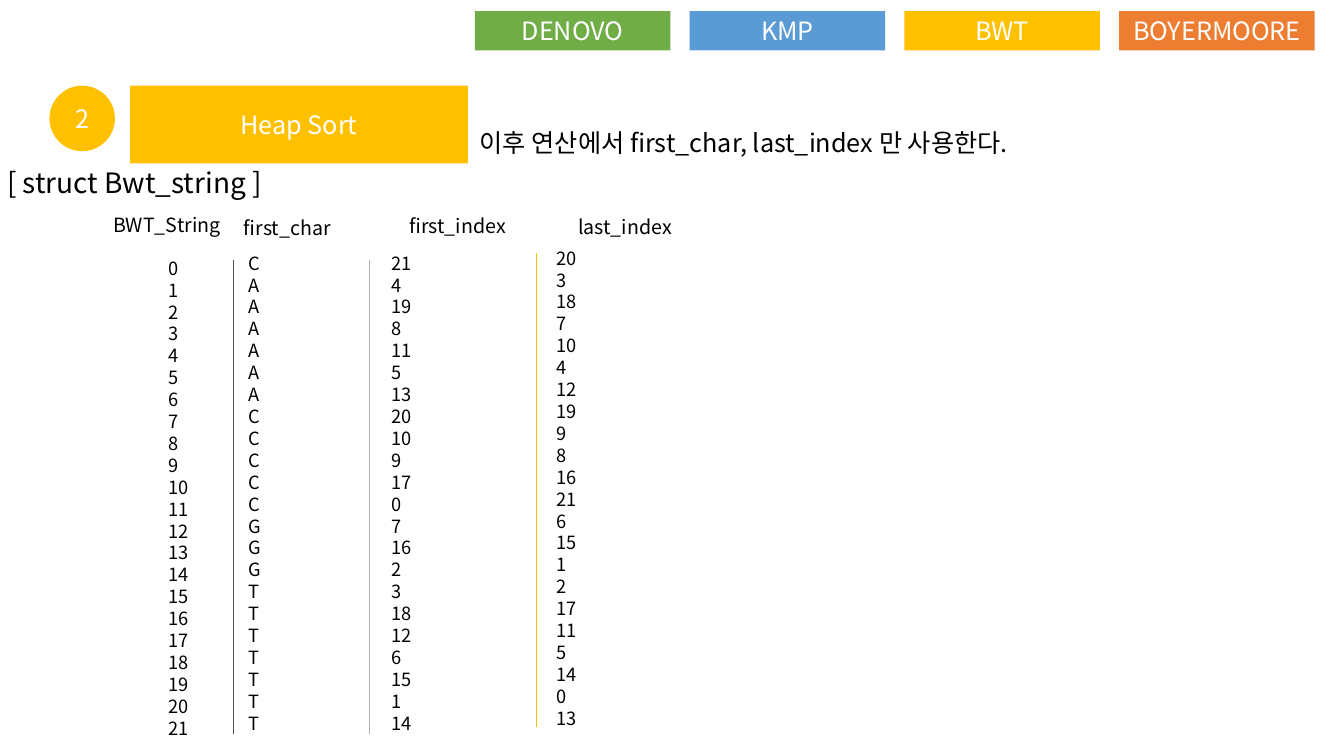
from lxml import etree
from pptx import Presentation
from pptx.dml.color import RGBColor
from pptx.enum.shapes import MSO_CONNECTOR, MSO_SHAPE
from pptx.enum.text import MSO_ANCHOR, MSO_AUTO_SIZE, PP_ALIGN
from pptx.oxml.ns import qn
from pptx.util import Pt

PX = 9144  # 100 px to the inch
FONT = "Noto Sans CJK KR"
LEFT, CENTER = PP_ALIGN.LEFT, PP_ALIGN.CENTER
TOP, MIDDLE = MSO_ANCHOR.TOP, MSO_ANCHOR.MIDDLE
RECTANGLE, OVAL = MSO_SHAPE.RECTANGLE, MSO_SHAPE.OVAL
STRAIGHT = MSO_CONNECTOR.STRAIGHT
NO_AUTOFIT = MSO_AUTO_SIZE.NONE

WHITE = RGBColor(0xFF, 0xFF, 0xFF)
BLACK = RGBColor(0x00, 0x00, 0x00)
GOLD = RGBColor(0xFF, 0xC0, 0x00)
ORANGE = RGBColor(0xED, 0x7D, 0x31)
GREEN = RGBColor(0x70, 0xAD, 0x47)
BLUE = RGBColor(0x5B, 0x9B, 0xD5)
DARK_GRAY = RGBColor(0x50, 0x50, 0x50)
LIGHT_GRAY = RGBColor(0xB0, 0xB0, 0xB0)


def write(box, lines, size, color, align=CENTER, anchor=MIDDLE, leading=None):
    frame = box.text_frame
    frame.word_wrap = True
    frame.auto_size = NO_AUTOFIT
    frame.vertical_anchor = anchor
    for number, line in enumerate(lines):
        para = frame.add_paragraph() if number else frame.paragraphs[0]
        para.alignment = align
        if leading:
            para.line_spacing = Pt(leading)
        span = para.add_run()
        span.text = line
        for name, value in {"name": FONT, "size": Pt(size)}.items():
            setattr(span.font, name, value)
        span.font.color.rgb = color
        east_asian = etree.SubElement(span.font._element, qn("a:ea"))
        east_asian.set("typeface", FONT)


def add_block(kind, place, fill, text, size, color):
    block = page.shapes.add_shape(kind, *[n * PX for n in place])
    block.shadow.inherit = False
    block.fill.solid()
    block.fill.fore_color.rgb = fill
    block.line.fill.background()
    write(block, [text], size, color)


deck = Presentation()
deck.slide_width, deck.slide_height = 1333 * PX, 750 * PX
page = deck.slides.add_slide(deck.slide_layouts[5])

# Title in a snipped banner, with its number
title = page.shapes.title
for name, value in {"left": 129, "top": 85, "width": 335, "height": 77}.items():
    setattr(title, name, value * PX)
banner = etree.SubElement(title._element.spPr, qn("a:prstGeom"))
banner.set("prst", "snip2DiagRect")
etree.SubElement(banner, qn("a:avLst"))
title.fill.solid()
title.fill.fore_color.rgb = GOLD
write(title, ["Heap Sort"], 18, WHITE)
add_block(OVAL, (49, 85, 65, 65), GOLD, "2", 18, WHITE)

# Remark and struct name
remark = page.shapes.add_textbox(466 * PX, 121 * PX, 960 * PX, 40 * PX)
write(remark, ["이후 연산에서 first_char, last_index 만 사용한다."],
      18, BLACK, LEFT, TOP, 21.6)
struct_name = page.shapes.add_textbox(-4 * PX, 158 * PX, 275 * PX, 46 * PX)
write(struct_name, ["[ struct Bwt_string ]"], 20, BLACK)

# Columns of values: left, top, width, values
columns = [
    (157, 250, 75, [str(row) for row in range(22)]),
    (237, 245, 66, list("CAAAAAACCCCCGGGTTTTTTT")),
    (378, 245, 112, "21 4 19 8 11 5 13 20 10 9 17 0 7 16 2 3 18 12 6 15 1 14".split()),
    (542, 240, 75, "20 3 18 7 10 4 12 19 9 8 16 21 6 15 1 2 17 11 5 14 0 13".split()),
]
for left, top, width, values in columns:
    column = page.shapes.add_textbox(left * PX, top * PX, width * PX, 491 * PX)
    write(column, values, 13, BLACK, LEFT, TOP, 15.65)

# Column headings
add_block(RECTANGLE, (197, 205, 176, 42), WHITE, "first_char", 14, BLACK)
headings = [
    ("BWT_String", 99, 202, 133, 42),
    ("first_index", 366, 203, 176, 42),
    ("last_index", 532, 202, 176, 46),
]
for text, *place in headings:
    heading = page.shapes.add_textbox(*[n * PX for n in place])
    write(heading, [text], 14, BLACK)

# Column dividers
for x, top, color in [(231, 258, DARK_GRAY), (366, 258, LIGHT_GRAY), (532, 251, GOLD)]:
    divider = page.shapes.add_connector(
        STRAIGHT, x * PX, top * PX, x * PX, (top + 470) * PX)
    divider.line.color.rgb = color
    divider.line.width = Pt(0.5)
    etree.SubElement(divider._element.spPr, qn("a:effectLst"))

# Algorithm tabs
tabs = [("DENOVO", GREEN), ("KMP", BLUE), ("BWT", GOLD), ("BOYERMOORE", ORANGE)]
for number, (text, color) in enumerate(tabs):
    add_block(RECTANGLE, (471 + 213 * number, 11, 194, 39), color, text, 18, WHITE)

deck.save("out.pptx")
